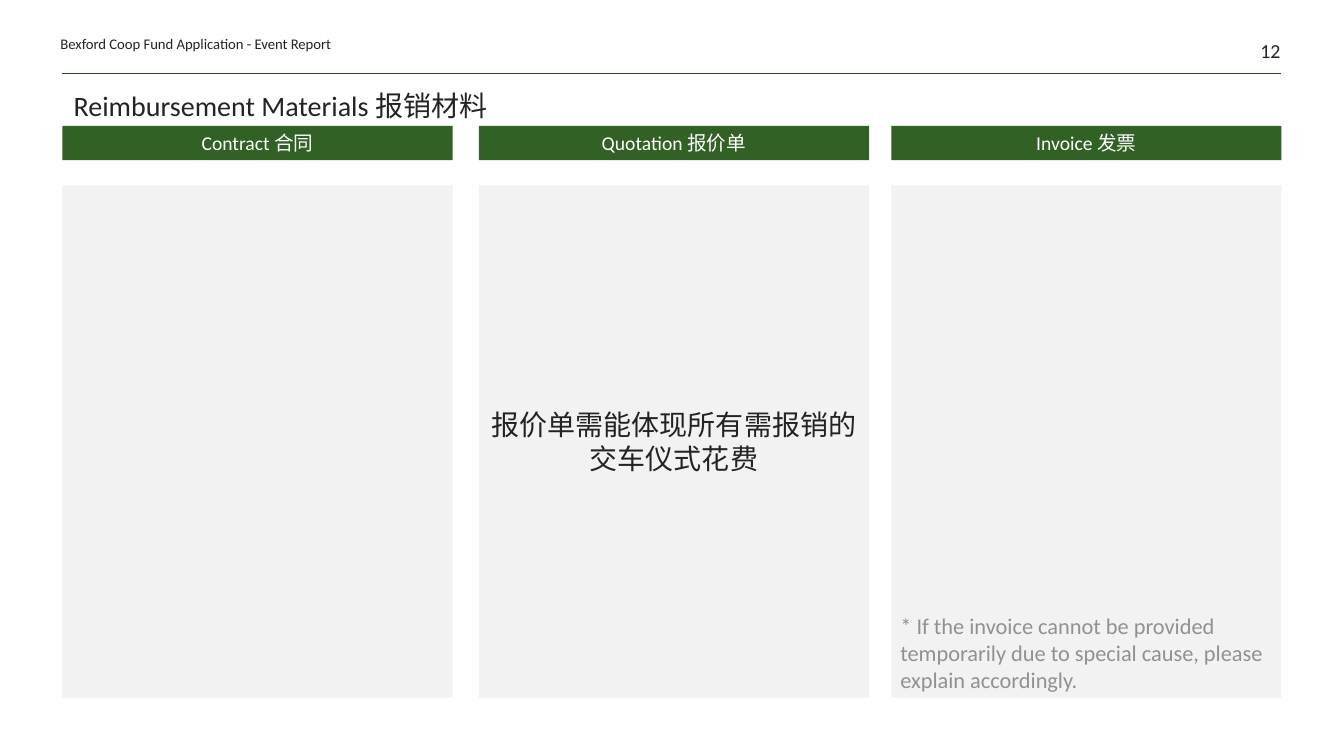
from dataclasses import dataclass

from lxml.etree import SubElement
from pptx import Presentation
from pptx.dml.color import RGBColor
from pptx.enum.shapes import MSO_CONNECTOR, MSO_SHAPE
from pptx.enum.text import MSO_ANCHOR, MSO_AUTO_SIZE, PP_ALIGN
from pptx.oxml.ns import qn
from pptx.util import Pt

PX = 9144  # EMU; 100 px to the inch


@dataclass(frozen=True)
class Theme:
    font: str = "Calibri"
    ink: str = "232323"
    muted: str = "919191"
    white: str = "FFFFFF"
    green: str = "326125"
    rule: str = "284E1E"
    panel: str = "F2F2F2"
    title: float = 20
    note: float = 16
    number: float = 14.2
    label: float = 14
    running: float = 10.5


T = Theme()
COLUMN_LEFTS = (62, 475, 884)
COLUMN_WIDTH = 387
COLUMNS = (
    ("Contract 合同", None),
    ("Quotation 报价单", dict(text="报价单需能体现所有需报销的交车仪式花费", size=T.title,
                          color=T.ink, align=PP_ALIGN.CENTER, anchor=MSO_ANCHOR.MIDDLE)),
    ("Invoice 发票", dict(text="* If the invoice cannot be provided temporarily due to "
                             "special cause, please explain accordingly.",
                        size=T.note, color=T.muted, anchor=MSO_ANCHOR.BOTTOM)),
)


def emu(*lengths):
    return [n * PX for n in lengths]


def set_text(sp, text, size, color, align=PP_ALIGN.LEFT, anchor=MSO_ANCHOR.BOTTOM,
             inset=(9, 5)):
    tf = sp.text_frame
    dx, dy = emu(*inset)
    frame_format = dict(word_wrap=True, auto_size=MSO_AUTO_SIZE.NONE, vertical_anchor=anchor,
                        margin_left=dx, margin_right=dx, margin_top=dy, margin_bottom=dy)
    for name, value in frame_format.items():
        setattr(tf, name, value)
    p = tf.paragraphs[0]
    p.alignment = align
    r = p.add_run()
    r.text = text
    for name, value in dict(name=T.font, size=Pt(size), bold=False).items():
        setattr(r.font, name, value)
    r.font.color.rgb = RGBColor.from_string(color)
    return p


def add_block(s, box, fill):
    sp = s.shapes.add_shape(MSO_SHAPE.RECTANGLE, *emu(*box))
    sp.shadow.inherit = False
    sp.fill.solid()
    sp.fill.fore_color.rgb = RGBColor.from_string(fill)
    sp.line.fill.background()
    return sp


def add_page_header(s, x, y, w, h):
    """Running head at the left, page number at the right, rule along the bottom."""
    rule = s.shapes.add_connector(MSO_CONNECTOR.STRAIGHT, *emu(x, y + h, x + w, y + h))
    rule.line.color.rgb = RGBColor.from_string(T.rule)
    rule.line.width = Pt(0.5)
    SubElement(rule.element.spPr, qn("a:effectLst"))
    number = s.shapes.add_textbox(*emu(x + w - 84, y, 83, h - 11))
    set_text(number, "12", T.number, T.ink, PP_ALIGN.RIGHT, inset=(0, 0))
    running = s.shapes.add_textbox(*emu(x - 2, y + 29, 417, 23))
    set_text(running, "Bexford Coop Fund Application - Event Report",
             T.running, T.ink, inset=(0, 0))


def add_title(s, *box):
    title = s.shapes.title
    title.left, title.top, title.width, title.height = emu(*box)
    p = set_text(title, "Reimbursement Materials 报销材料", T.title, T.ink, inset=(10, 5))
    p.line_spacing = 0.85


def add_column(s, x, y, w, h, label, note):
    """Green label above a grey panel that may hold a note."""
    bar = add_block(s, (x, y, w, 34), T.green)
    set_text(bar, label, T.label, T.white, PP_ALIGN.CENTER, MSO_ANCHOR.MIDDLE)
    panel = add_block(s, (x, y + 59, w, h - 59), T.panel)
    if note:
        set_text(panel, **note)


def main():
    prs = Presentation()
    prs.slide_width, prs.slide_height = emu(1333, 750)
    s = prs.slides.add_slide(prs.slide_layouts[5])
    add_page_header(s, 62, 0, 1209, 73)
    add_title(s, 63, 74, 1208, 52)
    for x, (label, note) in zip(COLUMN_LEFTS, COLUMNS):
        add_column(s, x, 125, COLUMN_WIDTH, 567, label, note)
    prs.save("out.pptx")


if __name__ == "__main__":
    main()
